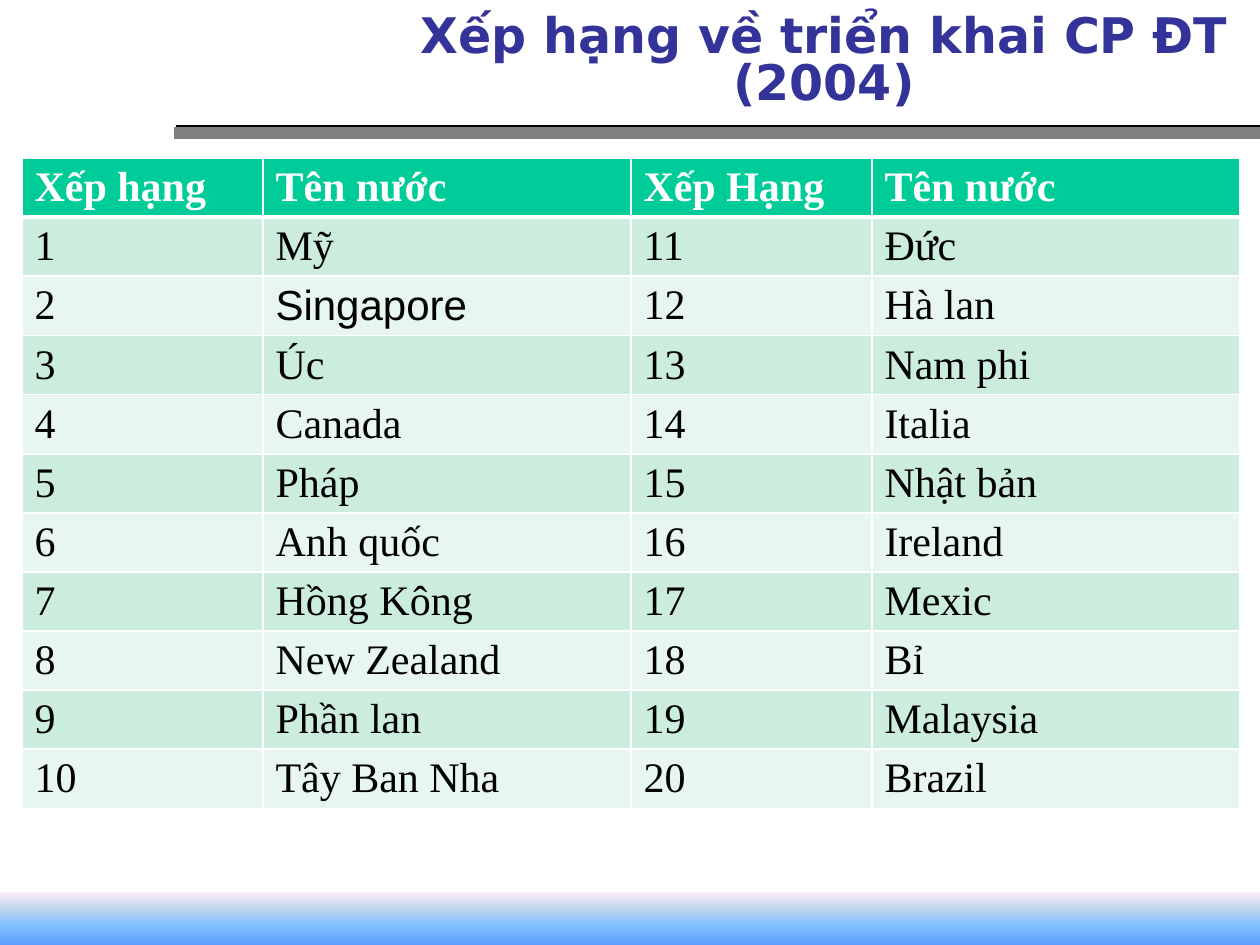
"""Build the slide ranking countries by e-government deployment in 2004."""
from lxml import etree
from pptx import Presentation
from pptx.dml.color import RGBColor
from pptx.enum.shapes import MSO_CONNECTOR, MSO_SHAPE
from pptx.enum.text import MSO_ANCHOR, MSO_AUTO_SIZE, PP_ALIGN
from pptx.oxml.ns import qn
from pptx.util import Emu, Pt

STRAIGHT = MSO_CONNECTOR.STRAIGHT
RECTANGLE = MSO_SHAPE.RECTANGLE
MIDDLE = MSO_ANCHOR.MIDDLE
CENTER = PP_ALIGN.CENTER
NO_AUTOFIT = MSO_AUTO_SIZE.NONE
COLORS = {
    "title": "333399", "rule": "808080", "shadow": "000000", "white": "FFFFFF",
    "header": "00CC99", "odd": "CCECDE", "even": "E7F6EF", "text": "000000",
}
BAND_STOPS = [(0, "5E9EFF"), (40, "85C2FF"), (70, "C4D6EB"), (100, "FFEBFA")]
HEADERS = ["Xếp hạng", "Tên nước", "Xếp Hạng", "Tên nước"]
COUNTRIES = [
    "Mỹ", "Singapore", "Úc", "Canada", "Pháp",
    "Anh quốc", "Hồng Kông", "New Zealand", "Phần lan", "Tây Ban Nha",
    "Đức", "Hà lan", "Nam phi", "Italia", "Nhật bản",
    "Ireland", "Mexic", "Bỉ", "Malaysia", "Brazil",
]
COLUMN_WIDTHS = [241, 368, 241, 368]
ROW_HEIGHT = 59


def px(*lengths):
    return [Emu(round(length * 914400 / 126)) for length in lengths]


def add_color(parent, tag, color, **attributes):
    holder = etree.SubElement(parent, qn(tag), attributes)
    etree.SubElement(holder, qn("a:srgbClr"), val=color)


deck = Presentation()
deck.slide_width, deck.slide_height = px(1260, 945)
slide = deck.slides.add_slide(deck.slide_layouts[5])

rule = slide.shapes.add_connector(STRAIGHT, *px(174, 133, 1260, 133))
rule.line.width = Pt(7)
rule.line.color.rgb = RGBColor.from_string(COLORS["rule"])
effects = etree.SubElement(rule._element.spPr, qn("a:effectLst"))
add_color(effects, "a:outerShdw", COLORS["shadow"],
          dist=str(Pt(1.4)), dir="18900000", algn="ctr", rotWithShape="0")

band = slide.shapes.add_shape(RECTANGLE, *px(0, 892, 1260, 53))
band.shadow.inherit = False
band.line.fill.background()
band.fill.gradient()
band.fill.gradient_angle = 90
stops = band._element.spPr.find(".//" + qn("a:gsLst"))
stops.clear()
for position, color in BAND_STOPS:
    add_color(stops, "a:gs", color, pos=str(position * 1000))

title = slide.shapes.title
title.left, title.top, title.width, title.height = px(388, 0, 872, 126)
title.text = "Xếp hạng về triển khai CP ĐT (2004)"
title.text_frame.auto_size = NO_AUTOFIT
title.text_frame.vertical_anchor = MIDDLE
heading = title.text_frame.paragraphs[0]
heading.alignment = CENTER
heading.line_spacing = 0.8
heading.font.color.rgb = RGBColor.from_string(COLORS["title"])
for name, value in {"name": "DejaVu Sans", "size": Pt(28), "bold": True}.items():
    setattr(heading.font, name, value)

half = len(COUNTRIES) // 2
rows = [HEADERS] + [
    [str(rank), COUNTRIES[rank - 1], str(rank + half), COUNTRIES[rank + half - 1]]
    for rank in range(1, half + 1)
]
ranking = slide.shapes.add_table(
    len(rows), len(HEADERS),
    *px(22, 158, sum(COLUMN_WIDTHS), ROW_HEIGHT * len(rows))).table
for column, width in zip(ranking.columns, px(*COLUMN_WIDTHS)):
    column.width = width

for row_number, row in enumerate(rows):
    is_header = row_number == 0
    fill = "header" if is_header else "odd" if row_number % 2 else "even"
    border_widths = {"L": 1, "R": 1, "T": 3 if row_number == 1 else 1,
                     "B": 3 if is_header else 1}
    for column_number, wording in enumerate(row):
        cell = ranking.cell(row_number, column_number)
        cell.text = wording
        properties = cell._tc.get_or_add_tcPr()
        for side, width in border_widths.items():
            border = etree.SubElement(properties, qn("a:ln" + side), w=str(Pt(width)))
            add_color(border, "a:solidFill", COLORS["white"])
        cell.fill.solid()
        cell.fill.fore_color.rgb = RGBColor.from_string(COLORS[fill])
        font = cell.text_frame.paragraphs[0].font
        font.color.rgb = RGBColor.from_string(COLORS["white" if is_header else "text"])
        font_format = {
            "name": "Arial" if wording == "Singapore" else "Times New Roman",
            "size": Pt(24), "bold": is_header,
        }
        for name, value in font_format.items():
            setattr(font, name, value)

deck.save("out.pptx")
